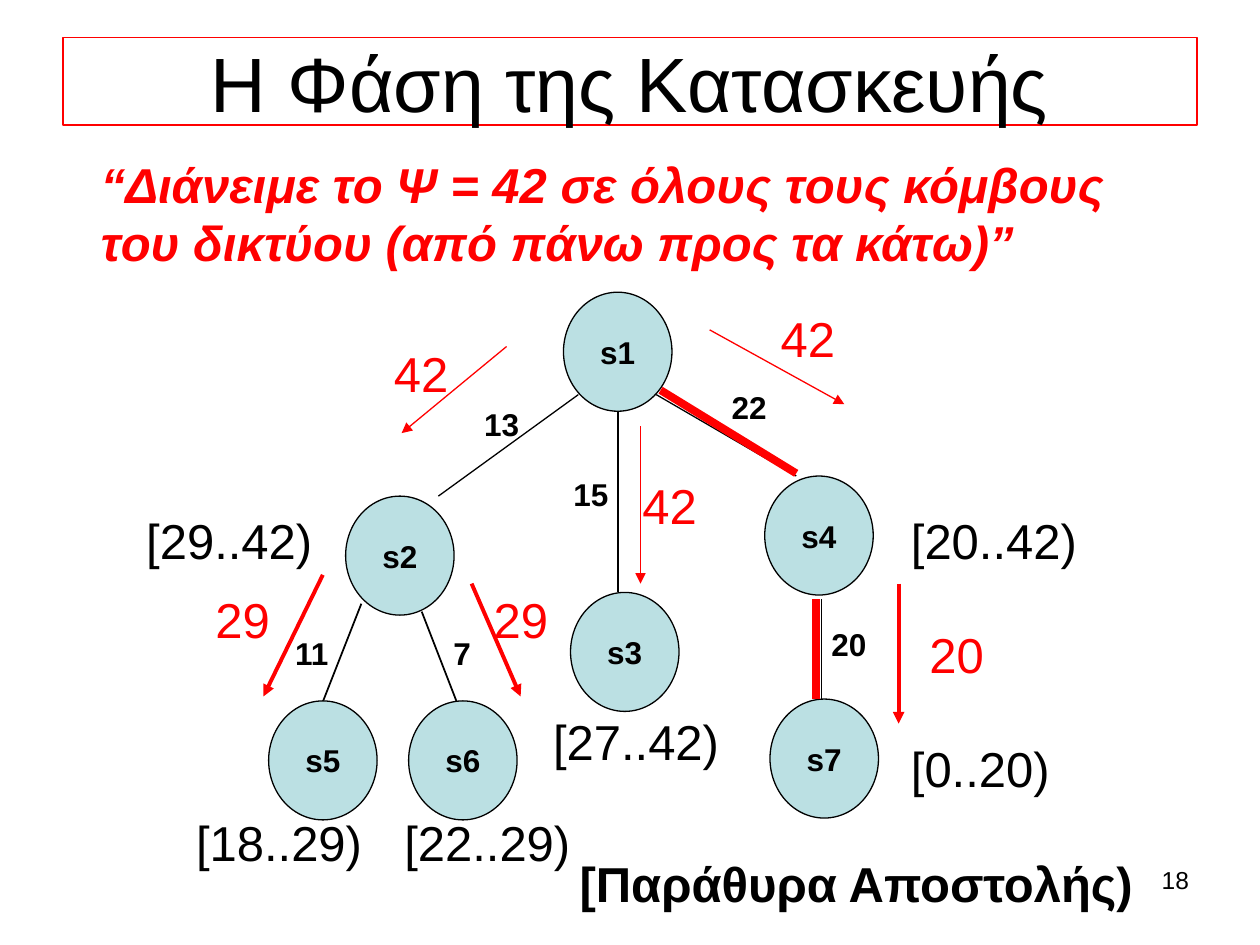
from dataclasses import dataclass
from typing import NamedTuple

from lxml import etree
from pptx import Presentation
from pptx.dml.color import RGBColor
from pptx.enum import shapes, text
from pptx.oxml import ns
from pptx.util import Pt


@dataclass(frozen=True)
class Theme:
    font: str = "Arial"
    ink: RGBColor = RGBColor(0, 0, 0)
    accent: RGBColor = RGBColor(0xFF, 0, 0)
    node_fill: RGBColor = RGBColor(0xBB, 0xE0, 0xE3)
    title: int = 44
    body: int = 28
    label: int = 18
    footer: int = 14
    hairline: float = 0.75
    thin: float = 1
    medium: float = 2.25
    thick: float = 4.5


class Point(NamedTuple):
    x: float
    y: float


class Node(NamedTuple):
    name: str
    corner: Point


class Line(NamedTuple):
    start: Point
    end: Point
    weight: float
    color: RGBColor


class Label(NamedTuple):
    wording: str
    corner: Point


class Flow(NamedTuple):
    """An amount handed down the tree: a red figure and its arrow."""
    amount: Label
    start: Point
    end: Point
    weight: float


THEME = Theme()
NODE_WIDTH, NODE_HEIGHT = 62, 68

NODES = [
    Node("s1", Point(322, 167)),
    Node("s2", Point(197.5, 283.5)),
    Node("s3", Point(326, 338.5)),
    Node("s4", Point(437, 272)),
    Node("s5", Point(153.5, 400.5)),
    Node("s6", Point(233.5, 400.5)),
    Node("s7", Point(440, 399.5)),
]
EDGES = [
    Line(Point(330.5, 225.5), Point(250.5, 283.5), THEME.hairline, THEME.ink),
    Line(Point(353, 235.5), Point(353, 338.5), THEME.thin, THEME.ink),
    Line(Point(375, 225.5), Point(455, 272), THEME.hairline, THEME.ink),
    Line(Point(206.5, 345), Point(184.5, 401), THEME.thin, THEME.ink),
    Line(Point(241, 349.5), Point(263.5, 407.5), THEME.thin, THEME.ink),
    Line(Point(469.5, 342.5), Point(469.5, 399.5), THEME.hairline, THEME.ink),
]
CRITICAL_PATH = [
    Line(Point(377.5, 223), Point(455, 270.5), THEME.thick, THEME.accent),
    Line(Point(466.5, 342.5), Point(466.5, 399.5), THEME.thick, THEME.accent),
]
EDGE_COSTS = [
    Label("13", Point(269.5, 228)),
    Label("15", Point(320.5, 268)),
    Label("22", Point(411, 218)),
    Label("11", Point(161.5, 358.5)),
    Label("7", Point(252, 358.5)),
    Label("20", Point(468, 353.5)),
]
FLOWS = [
    Flow(Label("42", Point(218, 193)), Point(289.5, 198), Point(229.5, 247.5), THEME.hairline),
    Flow(Label("42", Point(439, 173)), Point(405.5, 188.5), Point(482.5, 231), THEME.hairline),
    Flow(Label("42", Point(360, 268)), Point(366, 243.5), Point(366, 333.5), THEME.hairline),
    Flow(Label("20", Point(524, 353.5)), Point(513.5, 333.5), Point(513.5, 413.5), THEME.medium),
    Flow(Label("29", Point(116, 333.5)), Point(184.5, 328.5), Point(150.5, 398), THEME.medium),
    Flow(Label("29", Point(275, 333.5)), Point(269.5, 333.5), Point(297.5, 398), THEME.medium),
]
SEND_WINDOWS = [
    Label("[29..42)", Point(76.5, 288)),
    Label("[20..42)", Point(513.5, 288)),
    Label("[0..20)", Point(513.5, 418.5)),
    Label("[27..42)", Point(309, 403)),
    Label("[18..29)", Point(105, 461)),
    Label("[22..29)", Point(224, 461)),
]


def write(frame, wording: str, *, size: int, color: RGBColor = THEME.ink,
          bold: bool = False, italic: bool = False,
          align=text.PP_ALIGN.LEFT, anchor=text.MSO_ANCHOR.TOP, wrap: bool = True) -> None:
    frame.word_wrap = wrap
    frame.auto_size = text.MSO_AUTO_SIZE.NONE
    frame.vertical_anchor = anchor
    paragraph = frame.paragraphs[0]
    paragraph.alignment = align
    run = paragraph.add_run()
    run.text = wording
    run.font.name = THEME.font
    run.font.size = Pt(size)
    run.font.bold = bold
    run.font.italic = italic
    run.font.color.rgb = color


def add_label(slide, label: Label, width: float, height: float, **style) -> None:
    box = slide.shapes.add_textbox(Pt(label.corner.x), Pt(label.corner.y), Pt(width), Pt(height))
    write(box.text_frame, label.wording, **style)


def add_line(slide, line: Line, arrow: bool = False) -> None:
    connector = slide.shapes.add_connector(
        shapes.MSO_CONNECTOR.STRAIGHT,
        Pt(line.start.x), Pt(line.start.y), Pt(line.end.x), Pt(line.end.y))
    connector.line.color.rgb = line.color
    connector.line.width = Pt(line.weight)
    if arrow:
        etree.SubElement(connector.line._get_or_add_ln(), ns.qn("a:tailEnd"), type="triangle")
    etree.SubElement(connector._element.spPr, ns.qn("a:effectLst"))


def add_node(slide, node: Node) -> None:
    ellipse = slide.shapes.add_shape(
        shapes.MSO_SHAPE.OVAL, Pt(node.corner.x), Pt(node.corner.y),
        Pt(NODE_WIDTH), Pt(NODE_HEIGHT))
    ellipse.shadow.inherit = False
    ellipse.fill.solid()
    ellipse.fill.fore_color.rgb = THEME.node_fill
    ellipse.line.color.rgb = THEME.ink
    ellipse.line.width = Pt(THEME.hairline)
    write(ellipse.text_frame, node.name, size=THEME.label, bold=True, wrap=False,
          align=text.PP_ALIGN.CENTER, anchor=text.MSO_ANCHOR.MIDDLE)


def add_title(slide, wording: str) -> None:
    title = slide.shapes.title
    title.left, title.top, title.width, title.height = Pt(36), Pt(21.5), Pt(648), Pt(50)
    title.line.color.rgb = THEME.accent
    title.line.width = Pt(THEME.hairline)
    write(title.text_frame, wording, size=THEME.title,
          align=text.PP_ALIGN.CENTER, anchor=text.MSO_ANCHOR.MIDDLE)


def main() -> None:
    deck = Presentation()
    deck.slide_width, deck.slide_height = Pt(720), Pt(540)
    slide = deck.slides.add_slide(deck.slide_layouts[5])

    add_title(slide, "Η Φάση της Κατασκευής")
    goal = "“Διάνειμε το Ψ = 42 σε όλους τους κόμβους του δικτύου (από πάνω προς τα κάτω)”"
    add_label(slide, Label(goal, Point(50.5, 84.5)), 635, 75,
              size=THEME.body, color=THEME.accent, bold=True, italic=True)

    for edge in EDGES:
        add_line(slide, edge)
    for node in NODES:
        add_node(slide, node)
    for step in CRITICAL_PATH:
        add_line(slide, step)
    for cost in EDGE_COSTS:
        add_label(slide, cost, 62, 29, size=THEME.label, bold=True)
    for flow in FLOWS:
        add_label(slide, flow.amount, 95, 41, size=THEME.body, color=THEME.accent)
        add_line(slide, Line(flow.start, flow.end, flow.weight, THEME.accent), arrow=True)
    for window in SEND_WINDOWS:
        add_label(slide, window, 114, 41, size=THEME.body)

    add_label(slide, Label("[Παράθυρα Αποστολής)", Point(320.5, 484)), 337.5, 41,
              size=THEME.body, bold=True, align=text.PP_ALIGN.CENTER)
    add_label(slide, Label("18", Point(518.5, 491)), 168, 37.5,
              size=THEME.footer, align=text.PP_ALIGN.RIGHT)
    deck.save("out.pptx")


if __name__ == "__main__":
    main()
